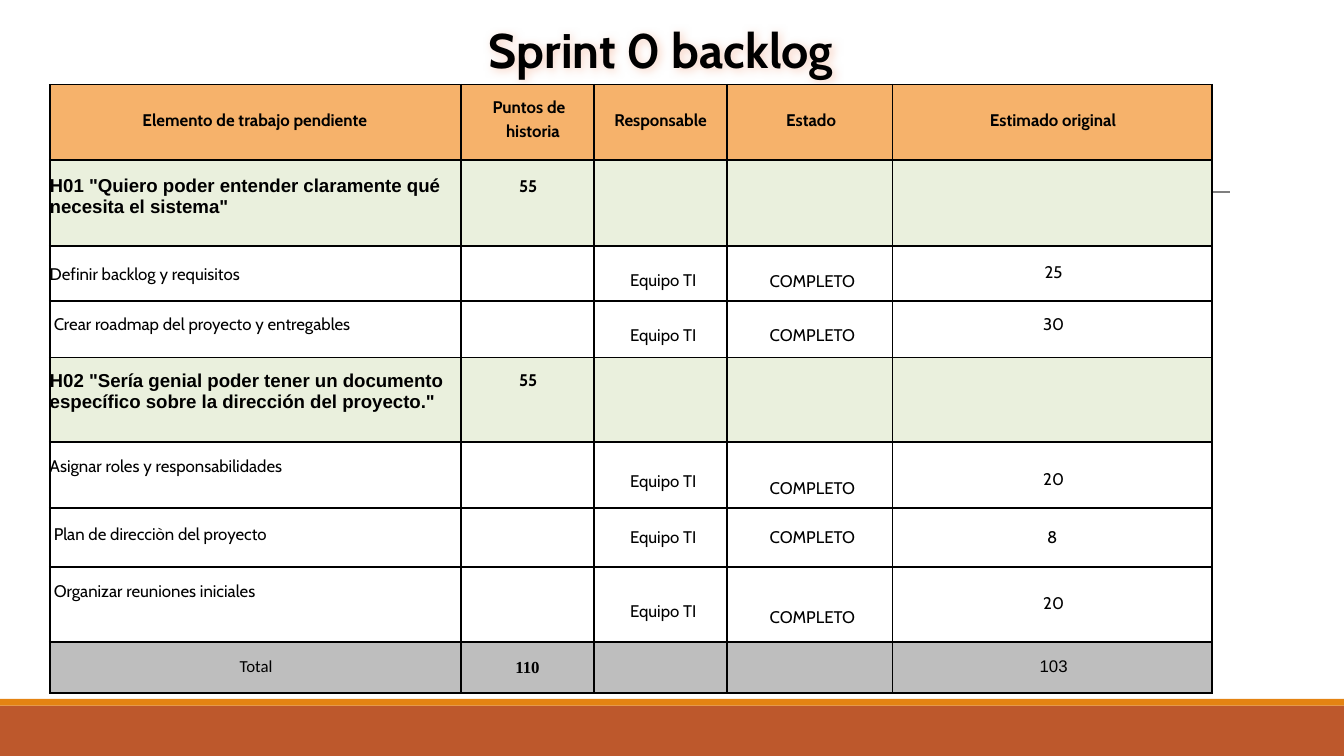
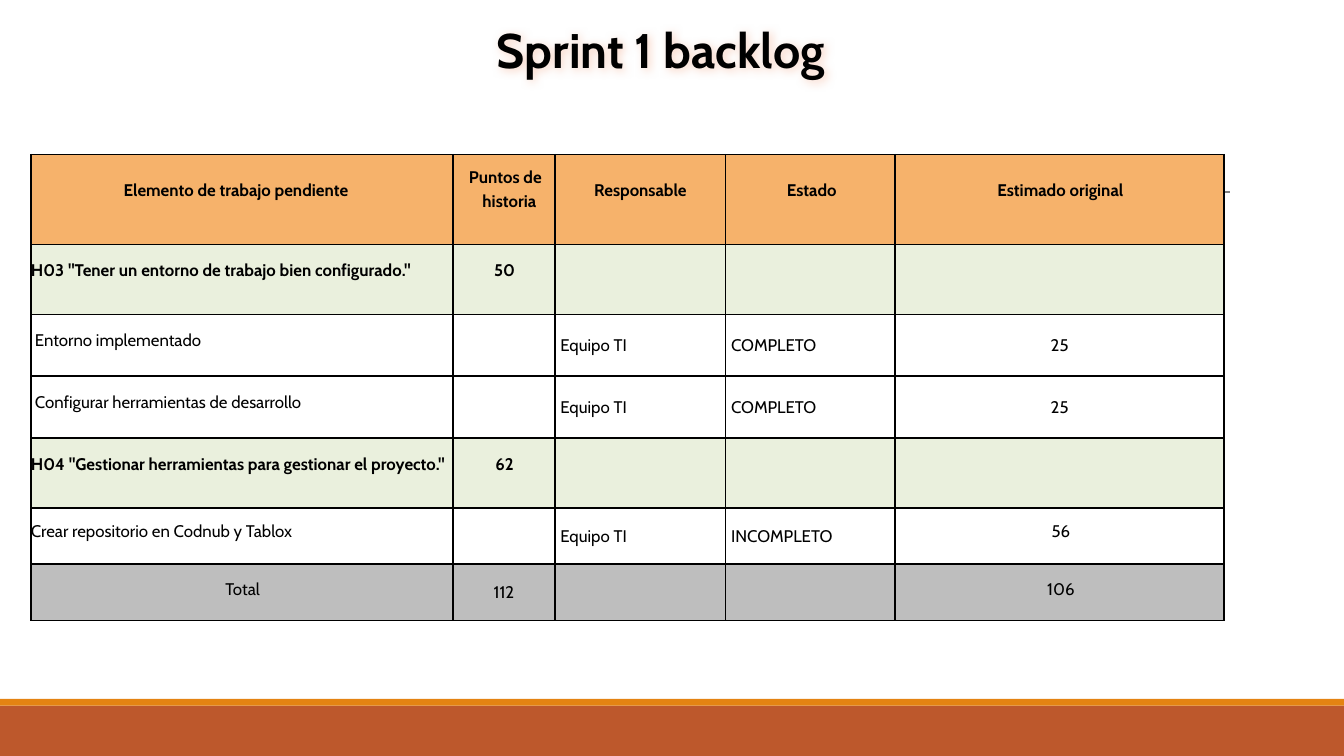
import pptx
import pptx.dml.color
import pptx.enum.shapes
import pptx.enum.text
import pptx.oxml
import pptx.oxml.ns
import pptx.util

Inches = pptx.util.Inches
Pt = pptx.util.Pt
CENTER = pptx.enum.text.PP_ALIGN.CENTER
LEFT = pptx.enum.text.PP_ALIGN.LEFT
MIDDLE = pptx.enum.text.MSO_ANCHOR.MIDDLE
TOP = pptx.enum.text.MSO_ANCHOR.TOP

COLORS = {
    "text": "000000", "border": "000000", "rule": "7F7F7F",
    "footer": "BD582C", "stripe": "E48312", "glow": "F4B9A0",
    "header": "F6B26B", "story": "EAF0DD", "task": "FFFFFF", "total": "BEBEBE",
}
TITLE_ONLY = 5
BLANK = ("", {})


def color(name):
    return pptx.dml.color.RGBColor.from_string(COLORS[name])


def element(xml):
    """Parse a fragment whose root is in the drawing namespace."""
    root, rest = xml.split(" ", 1)
    return pptx.oxml.parse_xml(f"{root} {pptx.oxml.ns.nsdecls('a')} {rest}")


def write(frame, text, size=9, font="Cabin", bold=False, align=LEFT,
          indent=0, hanging=0, right=0, spacing=None):
    """Put one formatted paragraph in a text frame; indents are in inches."""
    para = frame.paragraphs[0]
    para.alignment = align
    if spacing:
        para.line_spacing = spacing
    properties = para._p.get_or_add_pPr()
    properties.set("marL", str(Inches(indent)))
    properties.set("marR", str(Inches(right)))
    properties.set("indent", str(Inches(hanging)))
    span = para.add_run()
    span.text = text
    span.font.size = Pt(size)
    span.font.name = font
    span.font.bold = bold
    span.font.color.rgb = color("text")


class Page:
    """The shared slide style and the slide being built."""

    def __init__(self, deck, title):
        self.slide = deck.slides.add_slide(deck.slide_layouts[TITLE_ONLY])
        self.band(5.25, 0.38, "footer")
        self.band(5.2, 0.05, "stripe")
        self.rule()
        self.title(title)

    def band(self, top, height, fill):
        box = self.slide.shapes.add_shape(
            pptx.enum.shapes.MSO_SHAPE.RECTANGLE,
            Inches(0), Inches(top), Inches(10), Inches(height))
        box.shadow.inherit = False
        box.fill.solid()
        box.fill.fore_color.rgb = color(fill)
        box.line.fill.background()

    def rule(self):
        line = self.slide.shapes.add_connector(
            pptx.enum.shapes.MSO_CONNECTOR.STRAIGHT,
            Inches(0.98), Inches(1.43), Inches(9.15), Inches(1.43))
        line.line.color.rgb = color("rule")
        line.line.width = Pt(0.75)
        line._element.spPr.append(element("<a:effectLst />"))

    def title(self, text):
        box = self.slide.shapes.title
        box.left, box.top = Inches(0.7), Inches(0.05)
        box.width, box.height = Inches(8.44), Inches(0.63)
        frame = box.text_frame
        frame.word_wrap = True
        frame.auto_size = pptx.enum.text.MSO_AUTO_SIZE.NONE
        frame.vertical_anchor = MIDDLE
        frame.margin_left = frame.margin_right = Inches(0.1)
        frame.margin_top = frame.margin_bottom = Inches(0.1)
        write(frame, text, size=26, bold=True, align=CENTER)
        box._element.spPr.append(element(
            f'<a:effectLst ><a:outerShdw blurRad="{Pt(5)}" dist="{Pt(1)}" dir="2700000">'
            f'<a:srgbClr val="{COLORS["glow"]}"><a:alpha val="60000"/></a:srgbClr>'
            '</a:outerShdw></a:effectLst>'))

    def table(self, left, top, widths, rows):
        """Draw rows of (kind, height, cells), where a cell is (text, format)."""
        heights = [height for _, height, _ in rows]
        table = self.slide.shapes.add_table(
            len(rows), len(widths), Inches(left), Inches(top),
            Inches(sum(widths)), Inches(sum(heights))).table
        table.first_row = table.horz_banding = False
        for column, width in zip(table.columns, widths):
            column.width = Inches(width)
        for row, (kind, height, cells) in zip(table.rows, rows):
            row.height = Inches(height)
            for cell, (text, style) in zip(row.cells, cells):
                self.cell(cell, kind, text, **style)

    def cell(self, cell, fill, text, top=0, anchor=TOP, **style):
        cell.margin_left = cell.margin_right = cell.margin_bottom = 0
        cell.margin_top = Inches(top)
        cell.vertical_anchor = anchor
        properties = cell._tc.get_or_add_tcPr()
        for side in "LRTB":
            properties.append(element(
                f'<a:ln{side} w="{Pt(1)}"><a:solidFill><a:srgbClr val="{COLORS["border"]}"/>'
                f'</a:solidFill></a:ln{side}>'))
        cell.fill.solid()
        cell.fill.fore_color.rgb = color(fill)
        if text:
            write(cell.text_frame, text, **style)


def header(height):
    bold = {"bold": True, "top": 0.19}
    centered = {**bold, "align": CENTER}
    return "header", height, [
        ("Elemento de trabajo pendiente", {**bold, "indent": 0.69}),
        ("Puntos de historia", {**centered, "top": 0.07, "indent": 0.17,
                                "hanging": -0.06, "right": 0.09, "spacing": 1.18}),
        ("Responsable", centered),
        ("Estado", {**centered, "indent": 0.02}),
        ("Estimado original", {**centered, "indent": 0.01}),
    ]


def story(height, text, points, top=0.12, **style):
    return "story", height, [
        (text, {"top": top, "bold": True, **style}),
        (points, {"top": top, "bold": True, "align": CENTER, "indent": 0.01}),
        BLANK, BLANK, BLANK,
    ]


def task(height, text, estimate, top=0.12, indent=0.03, spacing=None, align=CENTER,
         state="COMPLETO", owner_top=0, state_top=0, estimate_top=None):
    """A task row; the estimate is centred vertically unless it has a top inset."""
    middle = {"anchor": MIDDLE, "align": align, "indent": 0.04}
    place = {"anchor": MIDDLE} if estimate_top is None else {"top": estimate_top, "indent": 0.02}
    return "task", height, [
        (text, {"top": top, "indent": indent, "spacing": spacing}),
        BLANK,
        ("Equipo TI", {**middle, "top": owner_top}),
        (state, {**middle, "top": state_top}),
        (estimate, {**place, "align": CENTER}),
    ]


def total(height, points, estimate, label_font="Cabin", points_style=None,
          estimate_font="Cabin"):
    return "total", height, [
        ("Total", {"top": 0.11, "align": CENTER, "indent": 0.01, "font": label_font}),
        (points, {"anchor": MIDDLE, "align": CENTER, **(points_style or {})}),
        BLANK, BLANK,
        (estimate, {"top": 0.11, "align": CENTER, "indent": 0.02, "font": estimate_font}),
    ]


def main():
    deck = pptx.Presentation()
    deck.slide_width = Inches(10)
    deck.slide_height = deck.slide_width * 9 // 16

    heading = {"font": "Arial", "size": 10}
    lowered = {"top": 0.08, "spacing": 1.18, "owner_top": 0.1,
               "state_top": 0.2, "estimate_top": 0.2}
    Page(deck, "Sprint 0 backlog").table(0.37, 0.63, [3.06, 0.99, 0.99, 1.23, 2.38], [
        header(0.56),
        story(0.64, 'H01 "Quiero poder entender claramente qué necesita el sistema"',
              "55", **heading),
        task(0.41, "Definir backlog y requisitos", "25", top=0.14, indent=0,
             owner_top=0.1, state_top=0.12, estimate_top=0.12),
        task(0.42, "Crear roadmap del proyecto y entregables", "30", top=0.1,
             owner_top=0.1, state_top=0.1, estimate_top=0.1),
        story(0.63, 'H02 "Sería genial poder tener un documento específico '
              'sobre la dirección del proyecto."', "55", top=0.1, **heading),
        task(0.49, "Asignar roles y responsabilidades", "20", indent=0, **lowered),
        task(0.44, "Plan de direcciòn del proyecto", "8"),
        task(0.56, "Organizar reuniones iniciales", "20", **lowered),
        total(0.38, "110", "103", label_font="Calibri", estimate_font="Arial",
              points_style={"font": "Times New Roman", "bold": True}),
    ])

    Page(deck, "Sprint 1 backlog").table(0.23, 1.15, [3.14, 0.76, 1.27, 1.26, 2.45], [
        header(0.67),
        story(0.52, 'H03 "Tener un entorno de trabajo bien configurado."', "50"),
        task(0.46, "Entorno implementado", "25", align=LEFT),
        task(0.46, "Configurar herramientas de desarrollo", "25", align=LEFT),
        story(0.52, 'H04 "Gestionar herramientas para gestionar el proyecto."', "62"),
        task(0.42, "Crear repositorio en Codnub y Tablox", "56", top=0.1, indent=0,
             align=LEFT, state="INCOMPLETO", estimate_top=0.1),
        total(0.42, "112", "106"),
    ])

    deck.save("out.pptx")


if __name__ == "__main__":
    main()
